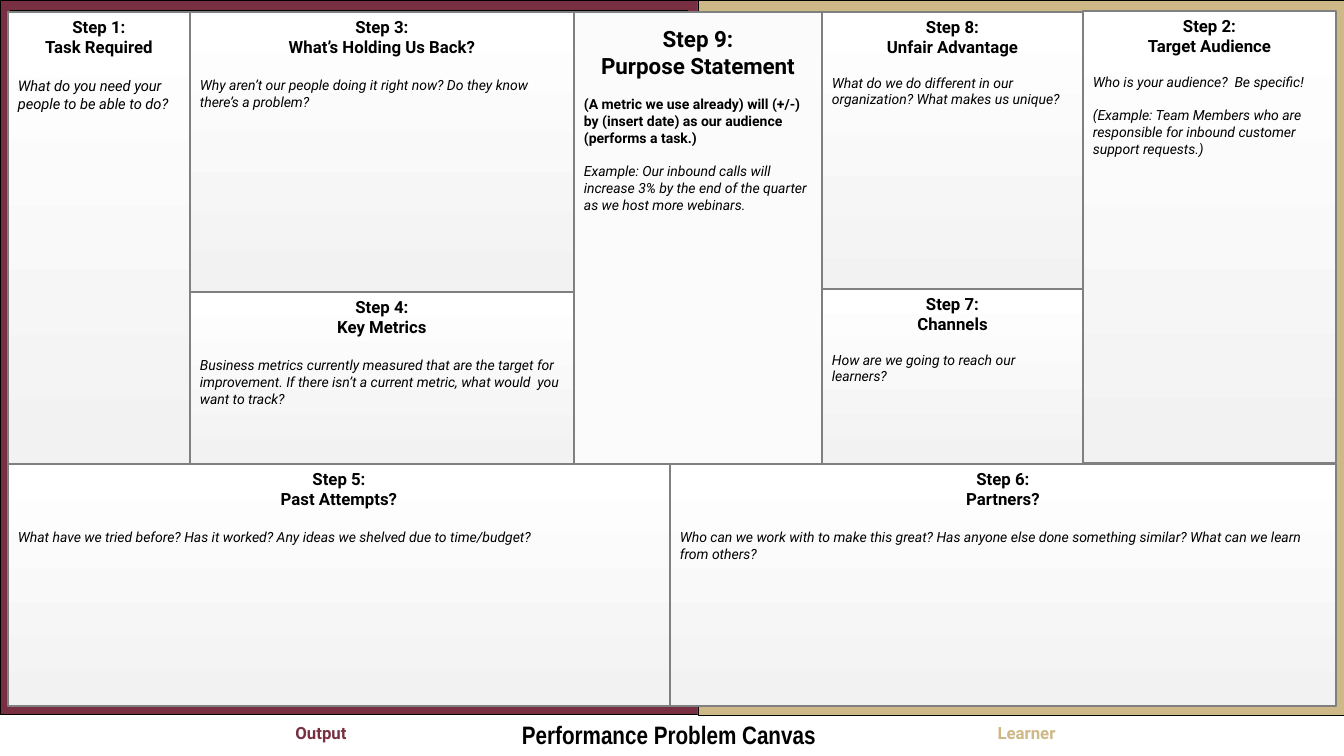
from pptx import Presentation
from pptx import util as u
from pptx.dml.color import RGBColor
from pptx.enum import shapes, text

PX = 914400 / 100.8
BLACK = RGBColor(0x00, 0x00, 0x00)
WHITE = RGBColor(0xFF, 0xFF, 0xFF)
PALE = RGBColor(0xFB, 0xFB, 0xFB)
LIGHT = RGBColor(0xF2, 0xF2, 0xF2)
GREY = RGBColor(0x80, 0x80, 0x80)
GARNET = RGBColor(0x78, 0x2F, 0x41)
GOLD = RGBColor(0xCE, 0xB8, 0x87)

# Column and row edges in px
LEFT, COL2, COL3, COL4, COL5, RIGHT = 8, 190, 574, 822, 1083, 1336
TOP, MID_LEFT, MID_RIGHT, LOWER, BOTTOM = 12, 292, 289, 464, 706
HALF = 670

# Frames: box, border share, colour
FRAMES = [
    ((0, 0, 698, 714), 0.015, GARNET),
    ((698, 0, 646, 715), 0.018, GOLD),
]

# Cards: edges (left, top, right, bottom), step, heading, gap in pt, body size, body
CARDS = [
    ((COL2, MID_LEFT, COL3, LOWER), "Step 4:", "Key Metrics", 14, 10,
     ["Business metrics currently measured that are the target for improvement. "
      "If there isn’t a current metric, what would  you want to track?"]),
    ((HALF, LOWER, RIGHT, BOTTOM), "Step 6:", "Partners?", 14, 10,
     ["Who can we work with to make this great? Has anyone else done something "
      "similar? What can we learn from others?"]),
    ((LEFT, LOWER, HALF, BOTTOM), "Step 5:", "Past Attempts?", 14, 10,
     ["What have we tried before? Has it worked? Any ideas we shelved due to time/budget?"]),
    ((COL2, TOP, COL3, MID_LEFT), "Step 3:", "What’s Holding Us Back?", 14, 10,
     ["Why aren’t our people doing it right now? Do they know there’s a problem?"]),
    ((COL4, TOP, COL5, 299), "Step 8:", "Unfair Advantage", 12, 10,
     ["What do we do different in our organization? What makes us unique?"]),
    ((COL5, 11, RIGHT, 463), "Step 2:", "Target Audience", 12, 10,
     ["Who is your audience?  Be specific!",
      "(Example: Team Members who are responsible for inbound customer support requests.)"]),
    ((COL4, MID_RIGHT, COL5, LOWER), "Step 7:", "Channels", 12, 10,
     ["How are we going to reach our learners?"]),
    ((LEFT, TOP, COL2, LOWER), "Step 1:", "Task Required", 14, 10.5,
     ["What do you need your people to be able to do?"]),
]

PURPOSE_HEADING = ["Step 9:", "Purpose Statement"]
PURPOSE_FORMULA = ("(A metric we use already) will (+/-) by (insert date) "
                   "as our audience (performs a task.)")
PURPOSE_EXAMPLE = ("Example: Our inbound calls will increase 3% by the end of "
                   "the quarter as we host more webinars.")

# Footer: box, wording, format
FOOTER = [
    ((512, 714, 314, 40), "Performance Problem Canvas",
     dict(size=18, font="Arial Narrow", bold=True)),
    ((285, 718, 72, 30), "Output", dict(color=GARNET, bold=True, center=True)),
    ((987, 718, 79, 30), "Learner", dict(color=GOLD, bold=True, center=True)),
]

prs = Presentation()
prs.slide_width, prs.slide_height = round(1344 * PX), round(756 * PX)
s = prs.slides.add_slide(prs.slide_layouts[6])


def emu(box):
    return [round(n * PX) for n in box]


def add_box(kind, box, fill=None, line=None, width=1.5):
    sp = s.shapes.add_shape(kind, *emu(box))
    sp.shadow.inherit = False
    if fill is None:
        sp.fill.gradient()
        sp.fill.gradient_angle = 90
        for stop, color in zip(sp.fill.gradient_stops, (LIGHT, WHITE)):
            stop.color.rgb = color
    else:
        sp.fill.solid()
        sp.fill.fore_color.rgb = fill
    if line is None:
        sp.line.fill.background()
    else:
        sp.line.color.rgb = line
        sp.line.width = u.Pt(width)
    sp.text_frame.word_wrap = True
    sp.text_frame.vertical_anchor = text.MSO_ANCHOR.TOP
    return sp


def write(tf, wording, size=12, font="Roboto", color=BLACK, bold=False,
          italic=False, center=False, gap=0):
    p = tf.add_paragraph() if tf.text else tf.paragraphs[0]
    p.alignment = text.PP_ALIGN.CENTER if center else text.PP_ALIGN.LEFT
    p.space_before = u.Pt(gap)
    r = p.add_run()
    r.text = wording
    r.font.name, r.font.size = font, u.Pt(size)
    r.font.bold, r.font.italic = bold, italic
    r.font.color.rgb = color


# Coloured frames
for box, share, color in FRAMES:
    sp = add_box(shapes.MSO_SHAPE.FRAME, box, color, BLACK, 0.25)
    sp.adjustments[0] = share

# Purpose statement: outlined panel, then its text
width = COL4 - COL3
add_box(shapes.MSO_SHAPE.RECTANGLE, (COL3, TOP, width, LOWER - TOP), PALE, GREY, 2)
tf = add_box(shapes.MSO_SHAPE.RECTANGLE, (COL3, 20, width, 201), PALE).text_frame
for wording in PURPOSE_HEADING:
    write(tf, wording, size=16, bold=True, center=True)
write(tf, PURPOSE_FORMULA, size=10, bold=True, gap=12)
write(tf, PURPOSE_EXAMPLE, size=10, italic=True, gap=12)

# Step cards
for (x1, y1, x2, y2), step, heading, gap, size, body in CARDS:
    sp = add_box(shapes.MSO_SHAPE.ROUNDED_RECTANGLE, (x1, y1, x2 - x1, y2 - y1), line=GREY)
    sp.adjustments[0] = 0
    for wording in (step, heading):
        write(sp.text_frame, wording, bold=True, center=True)
    for wording in body:
        write(sp.text_frame, wording, size=size, italic=True, gap=gap)

# Footer title and labels
for box, wording, style in FOOTER:
    tf = s.shapes.add_textbox(*emu(box)).text_frame
    tf.word_wrap = False
    write(tf, wording, **style)

prs.save("out.pptx")
